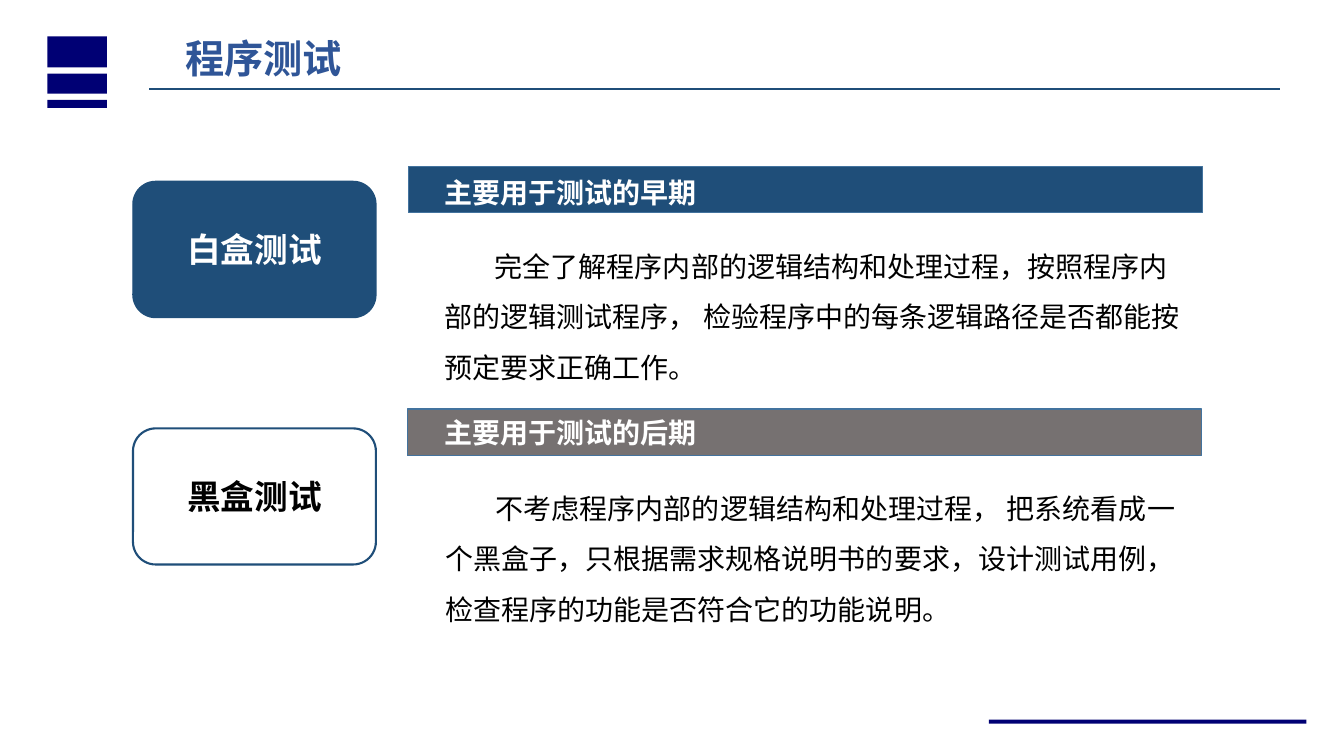
from lxml.etree import SubElement
from pptx import Presentation
from pptx.dml.color import RGBColor
from pptx.enum.shapes import MSO_CONNECTOR as Line, MSO_SHAPE as Preset
from pptx.enum.text import MSO_ANCHOR as Anchor, PP_ALIGN as Align
from pptx.oxml.ns import qn
from pptx.util import Pt

FONT = "Noto Sans CJK SC"
COLORS = {
    "navy": "000074", "blue": "1F4E79", "gray": "767171", "edge": "43739E",
    "title": "2F5597", "white": "FFFFFF", "black": "000000",
}
TITLE = "程序测试"
METHODS = [
    {
        "name": "白盒测试", "phase": "主要用于测试的早期",
        "detail": "完全了解程序内部的逻辑结构和处理过程，按照程序内部的逻辑测试程序， "
                  "检验程序中的每条逻辑路径是否都能按预定要求正确工作。",
        "card": ("blue", "white", 1), "card_top": 129.6,
        "bar": (291.6, 118.8, "blue"), "phase_top": 121.7,
        "detail_at": (310.3, 162.7),
    },
    {
        "name": "黑盒测试", "phase": "主要用于测试的后期",
        "detail": "不考虑程序内部的逻辑结构和处理过程， 把系统看成一个黑盒子，"
                  "只根据需求规格说明书的要求，设计测试用例，检查程序的功能是否符合它的功能说明。",
        "card": ("white", "black", 1.5), "card_top": 306,
        "bar": (290.9, 292.3, "gray"), "phase_top": 293,
        "detail_at": (311, 335.5),
    },
]
ACCENTS = [
    (33.8, 25.9, 42.5, 22.3), (33.8, 52.6, 42.5, 14.4),
    (33.8, 71.3, 42.5, 5.8), (706.3, 514.1, 226.8, 2.9),
]


def color(key):
    """Return the palette colour of that key."""
    return RGBColor.from_string(COLORS[key])


def add_block(slide, preset, box, fill, edge=None, weight=1):
    """Draw a flat filled shape with an optional outline."""
    block = slide.shapes.add_shape(preset, *map(Pt, box))
    block.shadow.inherit = False
    block.fill.solid()
    block.fill.fore_color.rgb = color(fill)
    if edge:
        block.line.color.rgb = color(edge)
        block.line.width = Pt(weight)
    else:
        block.line.fill.background()
    return block


def write(holder, words, size, ink, bold=False, align=Align.LEFT):
    """Write one run into a shape and return its paragraph."""
    holder.text_frame.word_wrap = True
    paragraph = holder.text_frame.paragraphs[0]
    paragraph.alignment = align
    run = paragraph.add_run()
    run.text = words
    run.font.name = FONT
    run.font.size = Pt(size)
    run.font.bold = bold
    run.font.color.rgb = color(ink)
    SubElement(run.font._element, qn("a:ea"), typeface=FONT)
    return paragraph


def add_text(slide, box, words, size, ink, bold=False):
    """Add a text box and return its paragraph."""
    return write(slide.shapes.add_textbox(*map(Pt, box)), words, size, ink, bold)


def add_method(slide, method):
    """Draw a test method: its card, phase bar and description."""
    fill, ink, weight = method["card"]
    card = add_block(slide, Preset.ROUNDED_RECTANGLE,
                     (95, method["card_top"], 173.5, 97.2), fill, "blue", weight)
    card.text_frame.vertical_anchor = Anchor.MIDDLE
    write(card, method["name"], 24, ink, True, Align.CENTER)

    left, top, bar_fill = method["bar"]
    add_block(slide, Preset.RECTANGLE, (left, top, 567.4, 33.1), bar_fill, "edge")
    add_text(slide, (310.3, method["phase_top"], 397, 31.7),
             method["phase"], 20, "white", True)

    detail = add_text(slide, (*method["detail_at"], 547.9, 112.3),
                      method["detail"], 20, "black")
    detail.line_spacing = 1.5
    detail._p.get_or_add_pPr().set("indent", str(Pt(36)))


def main():
    """Build the slide and save it."""
    deck = Presentation()
    deck.slide_width, deck.slide_height = Pt(960), Pt(540)
    slide = deck.slides.add_slide(deck.slide_layouts[6])
    for accent in ACCENTS:
        add_block(slide, Preset.RECTANGLE, accent, "navy")
    for method in METHODS:
        add_method(slide, method)
    add_text(slide, (125.3, 20.9, 309.6, 41), TITLE, 28, "title", True)
    rule = slide.shapes.add_connector(
        Line.STRAIGHT, Pt(106.6), Pt(63.4), Pt(914.4), Pt(63.4))
    rule.line.color.rgb = color("blue")
    rule.line.width = Pt(1.25)
    SubElement(rule._element.spPr, qn("a:effectLst"))
    deck.save("out.pptx")


if __name__ == "__main__":
    main()
